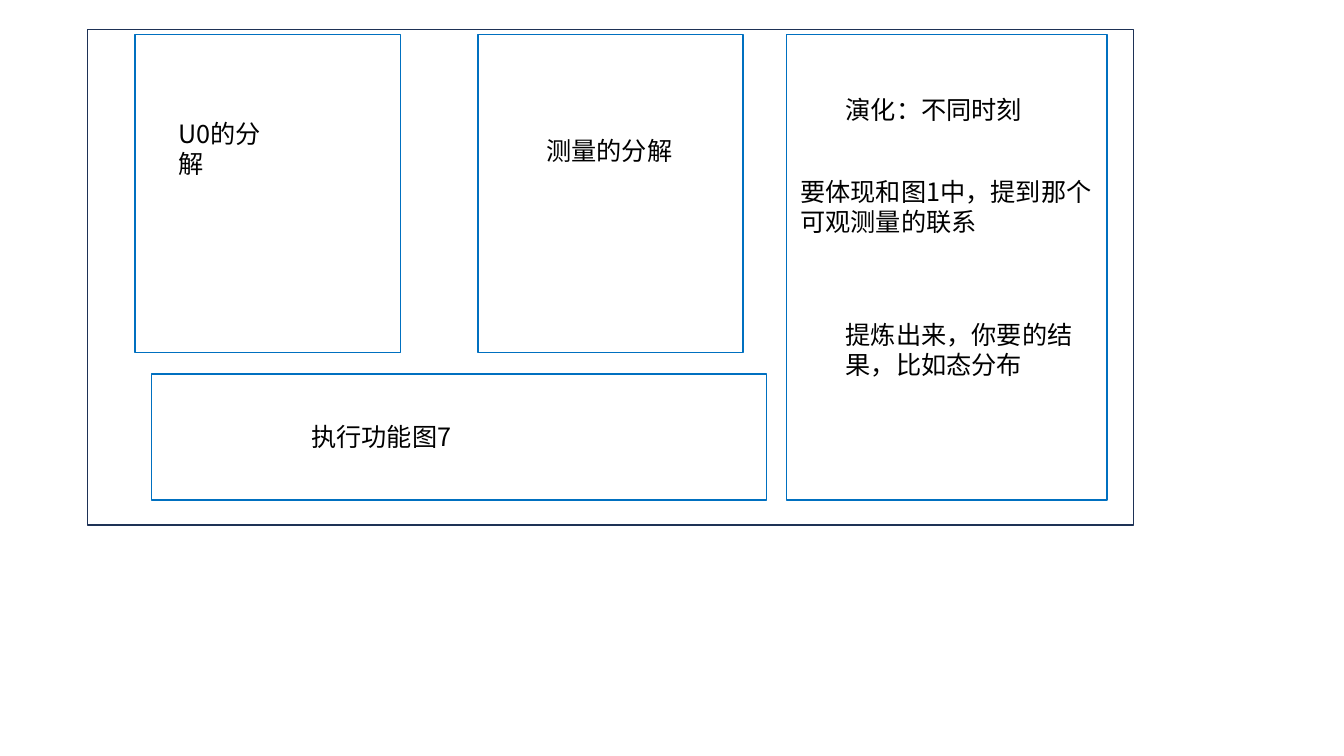
from lxml import etree
from pptx import Presentation
from pptx.dml.color import RGBColor
from pptx.enum.shapes import MSO_SHAPE
from pptx.enum.text import MSO_ANCHOR, MSO_AUTO_SIZE
from pptx.oxml.ns import qn
from pptx.util import Inches, Pt

RECTANGLE = MSO_SHAPE.RECTANGLE
TOP = MSO_ANCHOR.TOP
GROW = MSO_AUTO_SIZE.SHAPE_TO_FIT_TEXT

THEME = {
    "font": "Noto Sans CJK SC",
    "size": Pt(18),
    "line": Pt(1),
    "text": RGBColor.from_string("000000"),
    "frame": RGBColor.from_string("1E3256"),
    "panel": RGBColor.from_string("0070C0"),
}

FRAME = (0.87, 0.29, 10.37, 4.92)
PANEL_TOP, PANEL_BOTTOM = 0.34, 4.96
SMALL_WIDTH, SMALL_HEIGHT = 2.63, 3.16
EXECUTION_TOP = 3.71
ONE_LINE, TWO_LINES = 0.4, 0.71

# Each panel: position and size, then its labels (text, position and size)
PANELS = [
    ((1.34, PANEL_TOP, SMALL_WIDTH, SMALL_HEIGHT),
     [("U0的分解", (1.67, 1.12, 1.26, ONE_LINE))]),
    ((4.74, PANEL_TOP, SMALL_WIDTH, SMALL_HEIGHT),
     [("测量的分解", (5.32, 1.29, 1.46, ONE_LINE))]),
    ((1.5, EXECUTION_TOP, 6.1, PANEL_BOTTOM - EXECUTION_TOP),
     [("执行功能图7", (2.99, 4.13, 1.6, ONE_LINE))]),
    ((7.8, PANEL_TOP, 3.18, PANEL_BOTTOM - PANEL_TOP),
     [("演化：不同时刻", (8.29, 0.89, 1.97, ONE_LINE)),
      ("要体现和图1中，提到那个可观测量的联系", (7.84, 1.7, 3.14, TWO_LINES)),
      ("提炼出来，你要的结果，比如态分布", (8.29, 3.12, 2.46, TWO_LINES))]),
]


def set_attributes(target, values):
    for name, value in values.items():
        setattr(target, name, value)


def add_outline(slide, area, color):
    box = slide.shapes.add_shape(RECTANGLE, *map(Inches, area))
    box.shadow.inherit = False
    box.fill.background()
    box.line.color.rgb = color
    box.line.width = THEME["line"]


def add_label(slide, text, area):
    box = slide.shapes.add_textbox(*map(Inches, area))
    frame = box.text_frame
    set_attributes(frame, {"word_wrap": True, "auto_size": GROW, "vertical_anchor": TOP})
    span = frame.paragraphs[0].add_run()
    span.text = text
    set_attributes(span.font, {"size": THEME["size"], "name": THEME["font"]})
    span.font.color.rgb = THEME["text"]
    properties = span.font._element
    etree.SubElement(properties, qn("a:ea"), typeface=THEME["font"])


def main():
    deck = Presentation()
    set_attributes(deck, {"slide_width": Inches(13.33), "slide_height": Inches(7.5)})
    slide = deck.slides.add_slide(deck.slide_layouts[6])
    add_outline(slide, FRAME, THEME["frame"])
    for area, labels in PANELS:
        add_outline(slide, area, THEME["panel"])
        for text, label_area in labels:
            add_label(slide, text, label_area)
    deck.save("out.pptx")


if __name__ == "__main__":
    main()
